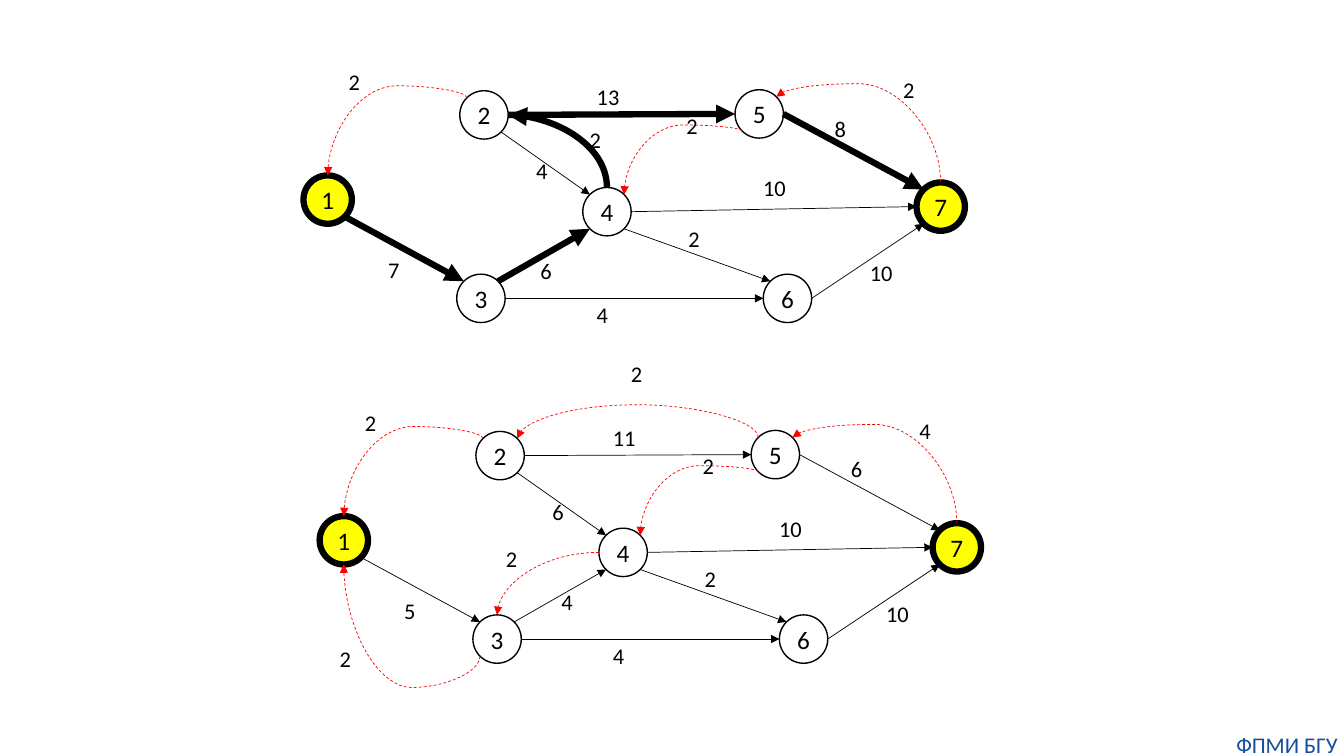
from dataclasses import dataclass
from math import sqrt

from lxml.etree import SubElement
from pptx import Presentation
from pptx.dml.color import RGBColor
from pptx.enum.dml import MSO_LINE
from pptx.enum.shapes import MSO_CONNECTOR, MSO_SHAPE
from pptx.enum.text import MSO_ANCHOR, MSO_AUTO_SIZE, PP_ALIGN
from pptx.oxml.ns import qn
from pptx.util import Inches, Pt


@dataclass(frozen=True)
class Theme:
    font: str = "Calibri"
    ink: RGBColor = RGBColor(0x00, 0x00, 0x00)
    terminal: RGBColor = RGBColor(0xFF, 0xFF, 0x00)
    reverse: RGBColor = RGBColor(0xFF, 0x00, 0x00)
    footer: RGBColor = RGBColor(0x14, 0x4E, 0x9D)
    node_size: int = 18
    label_size: int = 16
    thin: float = 0.5
    outline: float = 1
    bold: float = 4.5


THEME = Theme()
DIAMETER = 0.48
DIAGONAL = 1 / sqrt(2)

# Directions from a node's centre to the points where arcs attach
SITES = {
    "T": (0, -1), "B": (0, 1), "L": (-1, 0), "R": (1, 0),
    "TL": (-DIAGONAL, -DIAGONAL), "TR": (DIAGONAL, -DIAGONAL),
    "BL": (-DIAGONAL, DIAGONAL), "BR": (DIAGONAL, DIAGONAL),
}

# Node number: top left corner
NODES = {1: (3.01, 1.74), 2: (4.56, 0.9), 3: (4.53, 2.72), 4: (5.78, 1.86),
         5: (7.29, 0.89), 6: (7.57, 2.72), 7: (9.09, 1.81)}
TERMINALS = (1, 7)

# Forward arcs: (tail, head): sites at both ends, label position
FORWARD = {
    (1, 3): ("BR", "TL", (3.75, 2.49)),
    (2, 5): ("R", "L", (5.82, 0.78)),
    (3, 6): ("R", "L", (5.82, 2.94)),
    (3, 4): ("TR", "BL", (5.26, 2.5)),
    (2, 4): ("BR", "TL", (5.22, 1.51)),
    (4, 6): ("BR", "TL", (6.73, 2.18)),
    (4, 7): ("R", "L", (7.47, 1.68)),
    (5, 7): ("R", "TL", (8.18, 1.09)),
    (6, 7): ("R", "BL", (8.53, 2.52)),
}

# Reverse arcs: sites at both ends, height of the bend (None: one quarter turn),
# label position
REVERSE = {
    (2, 1): ("TL", "T", 0.85, (3.36, 0.63)),
    (5, 4): ("BL", "TR", 1.24, (6.71, 1.06)),
    (7, 5): ("T", "TR", 0.83, (8.86, 0.71)),
    (4, 2): ("T", "R", None, (5.75, 1.2)),
    (3, 1): ("BL", "B", 3.44, (3.11, 2.97)),
    (4, 3): ("L", "T", None, (4.76, 1.98)),
    (5, 2): ("TL", "TR", 0.63, (6, 0.14)),
}

# Each network: offset, residual capacities, arcs of the augmenting path
NETWORKS = [
    {
        "offset": (0, 0),
        "capacity": {(1, 3): 7, (2, 5): 13, (3, 6): 4, (3, 4): 6, (2, 4): 4,
                     (4, 6): 2, (4, 7): 10, (5, 7): 8, (6, 7): 10,
                     (2, 1): 2, (5, 4): 2, (7, 5): 2, (4, 2): 2},
        "path": {(1, 3), (3, 4), (4, 2), (2, 5), (5, 7)},
        "moved_labels": {},
    },
    {
        "offset": (0.16, 3.38),
        "capacity": {(1, 3): 5, (2, 5): 11, (3, 6): 4, (3, 4): 4, (2, 4): 6,
                     (4, 6): 2, (4, 7): 10, (5, 7): 6, (6, 7): 10,
                     (2, 1): 2, (5, 4): 2, (7, 5): 4,
                     (3, 1): 2, (4, 3): 2, (5, 2): 2},
        "path": set(),
        "moved_labels": {(3, 4): (5.31, 2.41)},
    },
]


def write(frame, text, size, color, align):
    para = frame.paragraphs[0]
    para.alignment = align
    span = para.add_run()
    span.text = text
    span.font.name = THEME.font
    span.font.size = Pt(size)
    span.font.color.rgb = color


def add_node(page, number, left, top):
    terminal = number in TERMINALS
    node = page.shapes.add_shape(MSO_SHAPE.OVAL, Inches(left), Inches(top),
                                 Inches(DIAMETER), Inches(DIAMETER))
    node.shadow.inherit = False
    if terminal:
        node.fill.solid()
        node.fill.fore_color.rgb = THEME.terminal
    else:
        node.fill.background()
    node.line.color.rgb = THEME.ink
    node.line.width = Pt(THEME.bold if terminal else THEME.outline)
    node.text_frame.vertical_anchor = MSO_ANCHOR.MIDDLE
    write(node.text_frame, str(number), THEME.node_size, THEME.ink, PP_ALIGN.CENTER)


def add_label(page, text, left, top):
    width = 0.32 if len(text) == 1 else 0.43
    box = page.shapes.add_textbox(Inches(left), Inches(top), Inches(width), Inches(0.37))
    box.text_frame.word_wrap = True
    box.text_frame.auto_size = MSO_AUTO_SIZE.SHAPE_TO_FIT_TEXT
    write(box.text_frame, text, THEME.label_size, THEME.ink, PP_ALIGN.LEFT)


def add_arc(page, kind, start, end, bold, color=THEME.ink, dashed=False):
    arc = page.shapes.add_connector(kind, *(Inches(value) for value in (*start, *end)))
    arc.line.color.rgb = color
    arc.line.width = Pt(THEME.bold if bold else THEME.thin)
    if dashed:
        arc.line.dash_style = MSO_LINE.DASH
    SubElement(arc.line._get_or_add_ln(), qn("a:tailEnd"), type="triangle")
    SubElement(arc.element.spPr, qn("a:effectLst"))
    return arc


def bend(arc, start, end, level, vertical):
    """Turn the arc so that it leaves vertically, and set the height of its bend."""
    across, down = end[0] - start[0], end[1] - start[1]
    frame = arc.element.spPr.find(qn("a:xfrm"))
    geometry = arc.element.spPr.find(qn("a:prstGeom"))
    flip_x, flip_y = across < 0, down < 0
    if vertical:
        arc.width, arc.height = Inches(abs(down)), Inches(abs(across))
        arc.left = Inches((start[0] + end[0] - abs(down)) / 2)
        arc.top = Inches((start[1] + end[1] - abs(across)) / 2)
        frame.set("rot", str(90 * 60000))
        flip_x, flip_y = down < 0, across > 0
    frame.set("flipH", str(int(flip_x)))
    frame.set("flipV", str(int(flip_y)))
    if level is None:
        geometry.set("prst", "curvedConnector2")
    else:
        ratio = round((level - start[1]) / down * 100000)
        SubElement(geometry.find(qn("a:avLst")), qn("a:gd"),
                   name="adj1", fmla=f"val {ratio}")


def add_network(page, offset, capacity, path, moved_labels):
    def shift(point):
        return point[0] + offset[0], point[1] + offset[1]

    def attach(number, site):
        left, top = shift(NODES[number])
        radius = DIAMETER / 2
        return tuple(corner + radius * (1 + direction)
                     for corner, direction in zip((left, top), SITES[site]))

    for number, corner in NODES.items():
        add_node(page, number, *shift(corner))

    for pair, amount in capacity.items():
        bold = pair in path
        first, last, *level, label = FORWARD.get(pair) or REVERSE[pair]
        start, end = attach(pair[0], first), attach(pair[1], last)
        if pair in FORWARD:
            add_arc(page, MSO_CONNECTOR.STRAIGHT, start, end, bold)
        else:
            color = THEME.ink if bold else THEME.reverse
            arc = add_arc(page, MSO_CONNECTOR.CURVE, start, end, bold, color, not bold)
            height = None if level[0] is None else level[0] + offset[1]
            bend(arc, start, end, height, first != "L")
        add_label(page, str(amount), *shift(moved_labels.get(pair, label)))


def add_footer(page):
    box = page.shapes.add_textbox(Inches(12.2), Inches(7.25), Inches(1.13), Inches(0.27))
    frame = box.text_frame
    frame.margin_left = frame.margin_right = frame.margin_top = frame.margin_bottom = 0
    frame.word_wrap = True
    frame.auto_size = MSO_AUTO_SIZE.SHAPE_TO_FIT_TEXT
    write(frame, "ФПМИ БГУ", THEME.label_size, THEME.footer, PP_ALIGN.CENTER)


def main():
    deck = Presentation()
    deck.slide_width, deck.slide_height = Inches(13.33), Inches(7.5)
    page = deck.slides.add_slide(deck.slide_layouts[6])
    add_footer(page)
    for network in NETWORKS:
        add_network(page, **network)
    deck.save("out.pptx")


if __name__ == "__main__":
    main()
